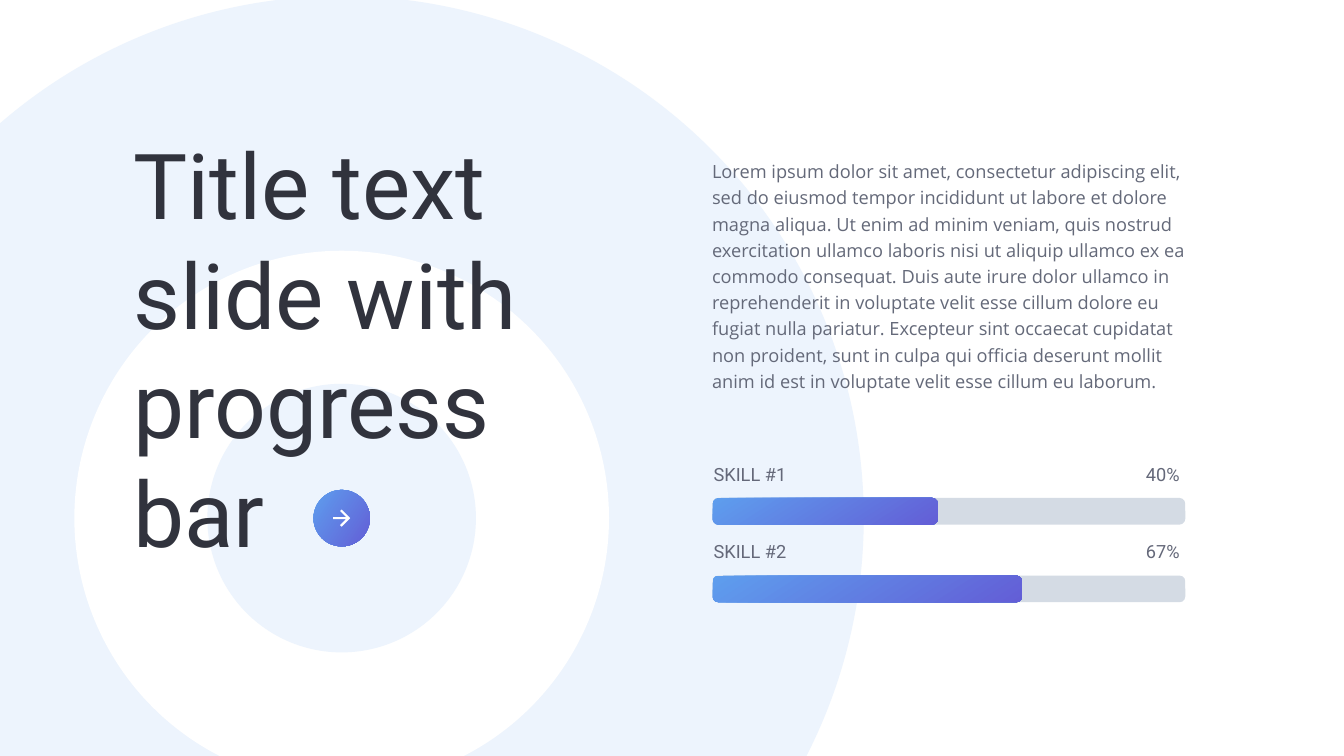
from pptx import Presentation
from pptx.util import Inches, Pt
from pptx.dml.color import RGBColor
from pptx.enum import shapes, text

TITLE = "Title text slide with progress bar"
BODY = (
    "Lorem ipsum dolor sit amet, consectetur adipiscing elit, sed do eiusmod "
    "tempor incididunt ut labore et dolore magna aliqua. Ut enim ad minim "
    "veniam, quis nostrud exercitation ullamco laboris nisi ut aliquip ullamco "
    "ex ea commodo consequat. Duis aute irure dolor ullamco in reprehenderit in "
    "voluptate velit esse cillum dolore eu fugiat nulla pariatur. Excepteur "
    "sint occaecat cupidatat non proident, sunt in culpa qui officia deserunt "
    "mollit anim id est in voluptate velit esse cillum eu laborum."
)
SKILLS = [("SKILL #1", "40%", 4.47), ("SKILL #2", "67%", 6.14)]
PALE, WHITE, GRAY = "EDF4FD", "FFFFFF", "D4DBE4"
BLEND = ("5E9EEE", "635ED6")
RINGS = [(20.72, PALE), (10.61, WHITE), (5.33, PALE)]
MID = (6.78, 10.28)
ARROW = [(-0.17, 0.02), (0.09, 0.02), (-0.03, 0.14), (0, 0.17), (0.17, 0),
         (0, -0.17), (-0.03, -0.14), (0.09, -0.02), (-0.17, -0.02)]
OVAL = shapes.MSO_SHAPE.OVAL
ROUND = shapes.MSO_SHAPE.ROUNDED_RECTANGLE

deck = Presentation()
deck.slide_width, deck.slide_height = Inches(26.67), Inches(15)
slide = deck.slides.add_slide(deck.slide_layouts[6])


def color(code):
    return RGBColor.from_string(code)


def paint(item, fill, angle=0):
    item.shadow.inherit = False
    item.line.fill.background()
    if isinstance(fill, str):
        item.fill.solid()
        item.fill.fore_color.rgb = color(fill)
        return
    item.fill.gradient()
    item.fill.gradient_angle = 360 - angle
    for stop, code, place in zip(item.fill.gradient_stops, fill, (0, 1)):
        stop.color.rgb = color(code)
        stop.position = place


def shape(kind, box, fill, angle=0):
    item = slide.shapes.add_shape(kind, *map(Inches, box))
    paint(item, fill, angle)
    return item


def disc(size, fill, angle=0):
    left, top = (c - size / 2 for c in MID)
    shape(OVAL, (left, top, size, size), fill, angle)


def bar(top, width, fill, angle=0):
    item = shape(ROUND, (14.14, top, width, 0.53), fill, angle)
    item.adjustments[0] = 0.215


def write(words, box, size=26, font="Roboto", ink="646879",
          align="LEFT", anchor="MIDDLE", lead=None):
    frame = slide.shapes.add_textbox(*map(Inches, box)).text_frame
    frame.word_wrap = True
    frame.auto_size = text.MSO_AUTO_SIZE.SHAPE_TO_FIT_TEXT
    frame.vertical_anchor = text.MSO_ANCHOR[anchor]
    frame.margin_left = frame.margin_right = Inches(0.06)
    frame.margin_top = frame.margin_bottom = Inches(0.06)
    para = frame.paragraphs[0]
    para.alignment = text.PP_ALIGN[align]
    if lead:
        para.line_spacing = lead
    run = para.add_run()
    run.text = words
    run.font.size, run.font.name = Pt(size), font
    run.font.color.rgb = color(ink)


for size, fill in RINGS:
    disc(size, fill)

write(TITLE, (2.59, 2.61, 9.97, 8.56), size=130, ink="31333D")

disc(1.12, BLEND, 34)
points = [(Inches(MID[0] + x), Inches(MID[1] + y)) for x, y in ARROW]
pen = slide.shapes.build_freeform(*points[0])
pen.add_line_segments(points[1:])
paint(pen.convert_to_shape(), WHITE)

write(BODY, (14.07, 3.04, 9.86, 5.41), font="Open Sans", ink="646979",
      anchor="TOP", lead=1.2)

for row, (name, share, width) in enumerate(SKILLS):
    top = 9.88 + row * 1.54
    bar(top, 9.38, GRAY)
    bar(top, width, BLEND, 57)
    write(name, (14.1, top - 0.74, 1.72, 0.53))
    write(share, (21.75, top - 0.74, 1.72, 0.53), align="RIGHT")

deck.save("out.pptx")
